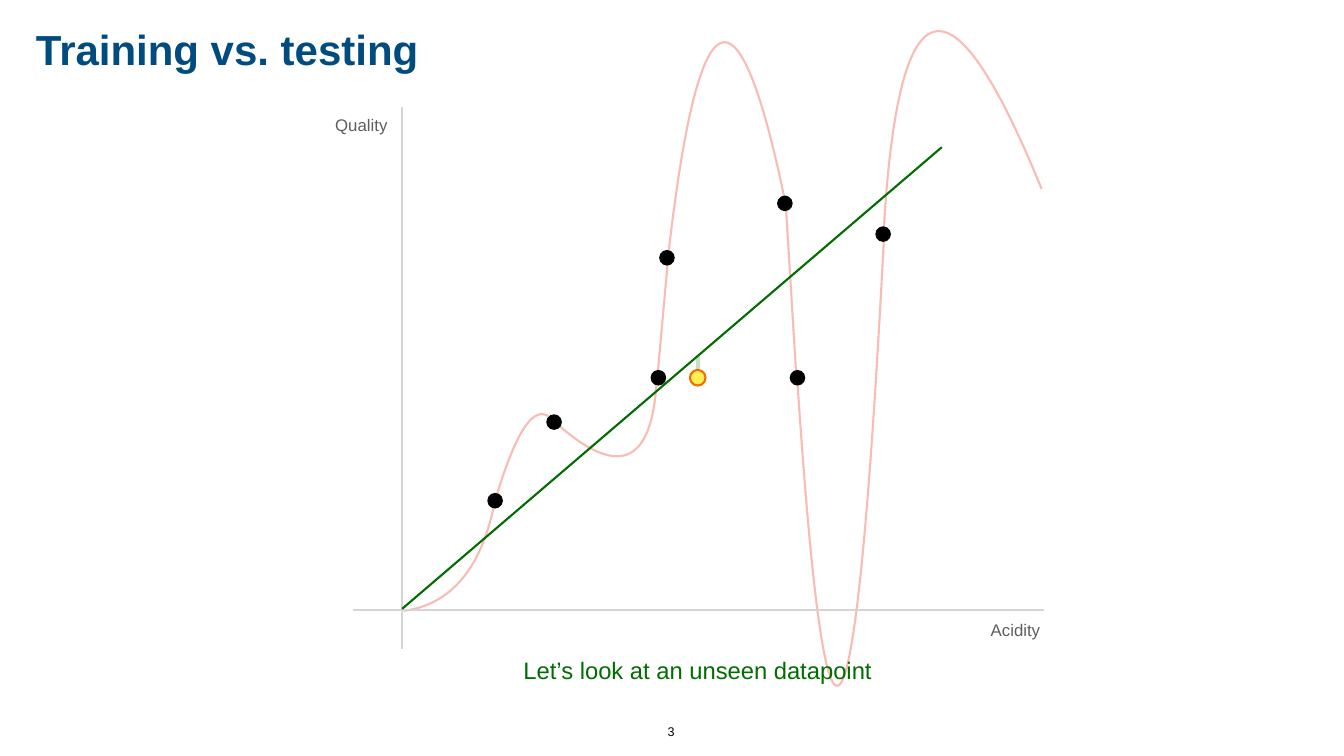
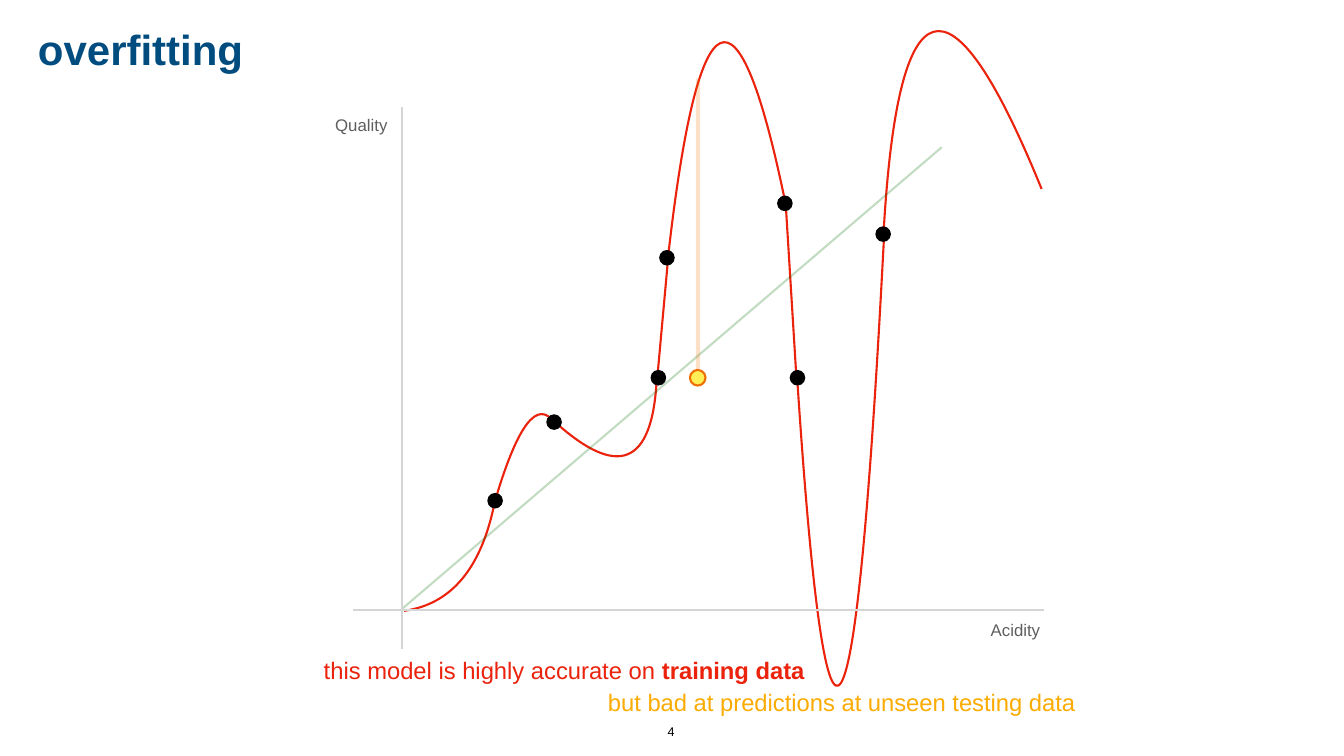
import math

import pptx
import pptx.dml.color
import pptx.enum.shapes
import pptx.enum.text
import pptx.oxml.ns
import pptx.util
from lxml import etree

Inches = pptx.util.Inches
Pt = pptx.util.Pt
RGBColor = pptx.dml.color.RGBColor
MSO_SHAPE = pptx.enum.shapes.MSO_SHAPE
ANCHOR = pptx.enum.text.MSO_ANCHOR
qn = pptx.oxml.ns.qn

NAVY = RGBColor(0x00, 0x4C, 0x7F)
RED = RGBColor(0xEB, 0x22, 0x0C)
GREEN = RGBColor(0x01, 0x6D, 0x01)
ORANGE = RGBColor(0xEF, 0x70, 0x01)
AMBER = RGBColor(0xFB, 0xAB, 0x01)
YELLOW = RGBColor(0xFE, 0xEF, 0x56)
LIGHT_GRAY = RGBColor(0xD5, 0xD5, 0xD5)
DARK_GRAY = RGBColor(0x5E, 0x5E, 0x5E)
BLACK = RGBColor(0x00, 0x00, 0x00)

TITLE_FONT = {"name": "Arial", "size": Pt(60), "bold": True}
LABEL_FONT = {"name": "Arial", "size": Pt(24)}
CAPTION_FONT = {"name": "Arial", "size": Pt(34)}
NUMBER_FONT = {"name": "Arial", "size": Pt(18)}
FRAME_FORMAT = {
    "word_wrap": True,
    "auto_size": pptx.enum.text.MSO_AUTO_SIZE.SHAPE_TO_FIT_TEXT,
    **{f"margin_{side}": Inches(0.06)
       for side in ("left", "top", "right", "bottom")},
}

# Plot positions are inches right of and below this point.
PLOT_ORIGIN = (8, 12)
DOT_SIZE = 0.31
DATA_POINTS = [(4.91, -4.66), (5.08, -7.04), (7.67, -4.66), (1.67, -2.22),
               (2.84, -3.78), (7.42, -8.12), (9.37, -7.51)]
UNSEEN_POINT = (5.69, -4.66)
# Control points: four for a cubic Bézier, two for a straight piece.
OVERFIT_PIECES = [
    [(0.02, 0.12), (0.96, -0.01), (1.56, -0.73), (1.82, -2.05)],
    [(3.01, -3.6), (2.67, -4.1), (2.27, -3.58), (1.82, -2.05)],
    [(5.03, -4.45), (4.94, -2.77), (4.26, -2.5), (3.01, -3.63)],
    [(5.04, -4.47), (5.26, -6.9)],
    [(7.58, -8), (6.64, -12.55), (5.86, -12.19), (5.26, -6.93)],
    [(7.8, -4.57), (7.59, -7.98)],
    [(7.82, -4.48), (8.41, 4.48), (8.98, 3.55), (9.54, -7.26)],
    [(12.67, -8.25), (10.85, -12.72), (9.81, -12.41), (9.53, -7.31)],
]


def set_values(target, values):
    for name, value in values.items():
        setattr(target, name, value)


def place(point):
    """Turn a plot position into slide lengths."""
    return tuple(Inches(start + offset)
                 for start, offset in zip(PLOT_ORIGIN, point))


def write(box, spans, font, color, anchor=ANCHOR.MIDDLE):
    """Fill a box with one centred line of (text, extra font values) spans."""
    frame = box.text_frame
    set_values(frame, {**FRAME_FORMAT, "vertical_anchor": anchor})
    para = frame.paragraphs[0]
    para.alignment = pptx.enum.text.PP_ALIGN.CENTER
    for text, extra in spans:
        span = para.add_run()
        span.text = text
        set_values(span.font, {**font, **extra})
        span.font.color.rgb = color


def add_text(page, box, spans, font, color, **options):
    text_box = page.shapes.add_textbox(*map(Inches, box))
    write(text_box, spans, font, color, **options)


def style_line(shape, color, width, opacity=100):
    shape.line.color.rgb = color
    shape.line.width = Pt(width)
    if opacity < 100:
        line_color = shape.line._ln.find(".//" + qn("a:srgbClr"))
        etree.SubElement(line_color, qn("a:alpha"), val=str(opacity * 1000))


def add_line(page, start, end, color, width=3, opacity=100):
    line = page.shapes.add_connector(
        pptx.enum.shapes.MSO_CONNECTOR.STRAIGHT, *place(start), *place(end))
    style_line(line, color, width, opacity)
    etree.SubElement(line._element.spPr, qn("a:effectLst"))


def add_dot(page, point, fill):
    size = Inches(DOT_SIZE)
    dot = page.shapes.add_shape(MSO_SHAPE.OVAL, *place(point), size, size)
    dot.shadow.inherit = False
    dot.fill.solid()
    dot.fill.fore_color.rgb = fill
    return dot


def bezier_point(controls, t):
    degree = len(controls) - 1
    weights = [math.comb(degree, k) * t ** k * (1 - t) ** (degree - k)
               for k in range(degree + 1)]
    return tuple(sum(w * c[axis] for w, c in zip(weights, controls))
                 for axis in (0, 1))


def bend(piece, controls, corner):
    """Replace the straight segments of a freeform by one cubic Bézier."""
    outline = piece._element.find(".//" + qn("a:path"))
    for segment in outline.findall(qn("a:lnTo")):
        outline.remove(segment)
    curve = etree.SubElement(outline, qn("a:cubicBezTo"))
    for control in controls[1:]:
        x, y = (end - start for end, start in zip(place(control), corner))
        etree.SubElement(curve, qn("a:pt"), x=str(x), y=str(y))


def add_overfit_curve(page, opacity=100):
    group = page.shapes.add_group_shape()
    for controls in OVERFIT_PIECES:
        # Points along the piece give the freeform its true bounds.
        steps = 1 if len(controls) == 2 else 60
        points = [place(bezier_point(controls, i / steps))
                  for i in range(steps + 1)]
        builder = group.shapes.build_freeform(*points[0])
        builder.add_line_segments(points[1:], close=False)
        piece = builder.convert_to_shape()
        if len(controls) == 4:
            bend(piece, controls, [min(values) for values in zip(*points)])
        piece.shadow.inherit = False
        piece.fill.background()
        style_line(piece, RED, 3, opacity)


def add_linear_fit(page, opacity=100):
    add_line(page, (-0.02, 0.08), (10.69, -9.08), GREEN, opacity=opacity)


def add_error_bar(page, top, color):
    """Join the unseen point to a model's prediction."""
    add_line(page, (5.85, -4.67), (5.85, top), color, 6, 21)


def add_axes_and_data(page):
    add_line(page, (-0.03, 0.87), (-0.03, -9.87), LIGHT_GRAY)
    add_line(page, (12.72, 0.1), (-0.99, 0.1), LIGHT_GRAY)
    left, top = PLOT_ORIGIN
    for name, x, y, width in (("Acidity", 11.56, 0.24, 1.18),
                              ("Quality", -1.43, -9.77, 1.2)):
        add_text(page, (left + x, top + y, width, 0.5), [(name, {})],
                 LABEL_FONT, DARK_GRAY)
    for point in DATA_POINTS:
        add_dot(page, point, BLACK).line.fill.background()


def add_unseen_point(page):
    style_line(add_dot(page, UNSEEN_POINT, YELLOW), ORANGE, 3)


def add_page(deck, title, title_width):
    page = deck.slides.add_slide(deck.slide_layouts[5])
    heading = page.shapes.title
    set_values(heading, {"left": Inches(0.4), "top": Inches(0.4),
                         "width": Inches(title_width),
                         "height": Inches(1.12)})
    write(heading, [(title, {})], TITLE_FONT, NAVY)
    return page


def add_page_number(page, number):
    add_text(page, (13.12, 14.31, 0.4, 0.41), [(str(number), {})],
             NUMBER_FONT, BLACK, anchor=ANCHOR.BOTTOM)


def add_testing_page(deck):
    page = add_page(deck, "Training vs. testing", 8.22)
    add_overfit_curve(page, opacity=29)
    add_axes_and_data(page)
    add_linear_fit(page)
    add_text(page, (9.69, 12.95, 8.31, 0.68),
             [("Let’s look at an unseen datapoint", {})], CAPTION_FONT, GREEN)
    add_unseen_point(page)
    add_error_bar(page, -4.93, GREEN)
    add_page_number(page, 3)


def add_overfitting_page(deck):
    page = add_page(deck, "overfitting", 4.78)
    add_overfit_curve(page)
    add_linear_fit(page, opacity=24)
    add_error_bar(page, -10.44, ORANGE)
    add_axes_and_data(page)
    add_text(page, (6.31, 12.96, 9.77, 0.67),
             [("this model is highly accurate on ", {}),
              ("training data", {"bold": True})], CAPTION_FONT, RED)
    add_unseen_point(page)
    add_text(page, (11.63, 13.59, 10.15, 0.68),
             [("but bad at predictions at unseen testing data", {})],
             CAPTION_FONT, AMBER)
    add_page_number(page, 4)


def main():
    deck = pptx.Presentation()
    deck.slide_width, deck.slide_height = Inches(26.67), Inches(15)
    add_testing_page(deck)
    add_overfitting_page(deck)
    deck.save("out.pptx")


if __name__ == "__main__":
    main()
